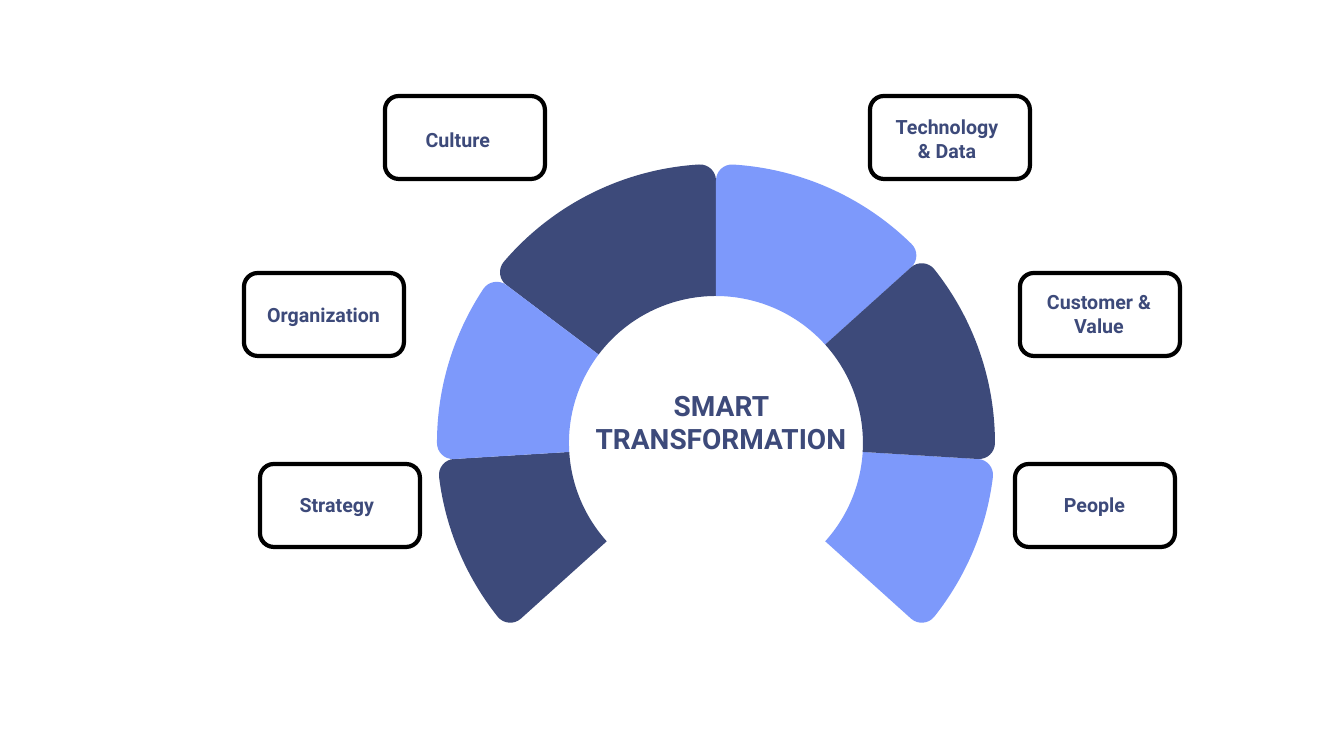
from dataclasses import dataclass
from math import asin, cos, degrees, radians, sin, tan

from lxml import etree
from pptx import Presentation
from pptx import util as u
from pptx.dml.color import RGBColor
from pptx.enum import shapes, text
from pptx.oxml.ns import qn

PX = 914400 / 100.8  # EMU in one px
COLORS = {"navy": "3D4A7A", "sky": "7D99FB", "black": "000000"}
FONT = "Roboto"

RING_X, RING_Y = 716, 443
OUTER, INNER, CORNER = 279, 147, 16
FRAME_W, FRAME_H = 160, 83

Point = tuple[float, float]


@dataclass
class Segment:
    start: float  # degrees clockwise from the top
    end: float
    color: str


@dataclass
class Arc:
    x: float
    y: float
    radius: float
    start: float
    end: float

    def at(self, angle: float) -> Point:
        a = radians(angle)
        return self.x + self.radius * sin(a), self.y - self.radius * cos(a)

    def curve(self) -> list[Point]:
        """Two handles and the end point of a cubic curve along the arc."""
        reach = self.radius * 4 / 3 * tan(radians(self.end - self.start) / 4)
        (x1, y1), (x2, y2) = self.at(self.start), self.at(self.end)
        a, b = radians(self.start), radians(self.end)
        return [(x1 + reach * cos(a), y1 + reach * sin(a)),
                (x2 - reach * cos(b), y2 - reach * sin(b)), (x2, y2)]


@dataclass
class Label:
    caption: str
    frame_left: int
    frame_top: int
    left: int
    top: int
    width: int
    height: int
    align: text.PP_ALIGN


CENTER, RIGHT = text.PP_ALIGN.CENTER, text.PP_ALIGN.RIGHT

SEGMENTS = [
    Segment(93.5, 132, "sky"),
    Segment(228, 266.5, "navy"),
    Segment(307, 360, "navy"),
    Segment(0, 48, "sky"),
    Segment(266.5, 307, "sky"),
    Segment(48, 93.5, "navy"),
]

LABELS = [
    Label("Culture", 385, 96, 253, 123, 247, 34, RIGHT),
    Label("Organization", 244, 273, 256, 298, 134, 34, RIGHT),
    Label("Strategy", 260, 464, 270, 488, 114, 34, RIGHT),
    Label("Technology & Data", 870, 96, 882, 110, 130, 57, CENTER),
    Label("Customer & Value", 1020, 273, 1015, 285, 168, 57, CENTER),
    Label("People", 1015, 464, 1039, 488, 96, 34, RIGHT),
]


def px(length: float) -> u.Emu:
    return u.Emu(round(length * PX))


def rgb(name: str) -> RGBColor:
    return RGBColor.from_string(COLORS[name])


def segment_arcs(segment: Segment) -> list[Arc]:
    """Rounded corner, outer edge, rounded corner and inner edge."""
    reach = OUTER - CORNER
    inset = degrees(asin(CORNER / reach))
    first, last = segment.start + inset, segment.end - inset
    hub = Arc(RING_X, RING_Y, reach, first, last)
    return [
        Arc(*hub.at(first), CORNER, segment.start - 90, first),
        Arc(RING_X, RING_Y, OUTER, first, last),
        Arc(*hub.at(last), CORNER, last, segment.end + 90),
        Arc(RING_X, RING_Y, INNER, segment.end, segment.start),
    ]


def draw_segment(slide, segment: Segment) -> None:
    arcs = segment_arcs(segment)
    inner = arcs[-1]
    anchors = [arcs[0].at(arcs[0].start), *(arc.at(arc.end) for arc in arcs[:3]),
               inner.at(inner.start), inner.at(inner.end)]
    points = [(px(x), px(y)) for x, y in anchors]
    builder = slide.shapes.build_freeform(*points[0], scale=1.0)
    builder.add_line_segments(points[1:], close=True)
    sector = builder.convert_to_shape()

    # Bend every side except the straight one before the inner edge
    sides = list(sector._element.iter(qn("a:lnTo")))
    for side, arc in zip(sides[:3] + sides[4:5], arcs):
        bend = etree.Element(qn("a:cubicBezTo"))
        for x, y in arc.curve():
            etree.SubElement(bend, qn("a:pt"), x=str(px(x) - sector.left),
                             y=str(px(y) - sector.top))
        side.getparent().replace(side, bend)

    sector.shadow.inherit = False
    sector.fill.solid()
    sector.fill.fore_color.rgb = rgb(segment.color)
    sector.line.fill.background()


def write(shape, caption: str, size: int, align: text.PP_ALIGN) -> None:
    frame = shape.text_frame
    frame.text = caption
    frame.word_wrap = True
    frame.auto_size = text.MSO_AUTO_SIZE.NONE
    frame.vertical_anchor = text.MSO_ANCHOR.TOP
    paragraph = frame.paragraphs[0]
    paragraph.alignment = align
    font = paragraph.runs[0].font
    font.name, font.size, font.bold = FONT, u.Pt(size), True
    font.color.rgb = rgb("navy")


def draw_caption(slide, label: Label) -> None:
    caption = slide.shapes.add_textbox(
        px(label.left), px(label.top), px(label.width), px(label.height))
    write(caption, label.caption, 14, label.align)


def draw_frame(slide, label: Label) -> None:
    frame = slide.shapes.add_shape(
        shapes.MSO_SHAPE.ROUNDED_RECTANGLE,
        px(label.frame_left), px(label.frame_top), px(FRAME_W), px(FRAME_H))
    frame.shadow.inherit = False
    frame.fill.background()
    frame.line.color.rgb = rgb("black")
    frame.line.width = u.Pt(3)


def main() -> None:
    deck = Presentation()
    deck.slide_width, deck.slide_height = px(1344), px(756)
    slide = deck.slides.add_slide(deck.slide_layouts[5])

    # Ring of segments
    for segment in SEGMENTS:
        draw_segment(slide, segment)

    # Captions around the ring, then their frames
    for label in LABELS:
        draw_caption(slide, label)
    for label in LABELS:
        draw_frame(slide, label)

    # Title in the middle of the ring
    title = slide.shapes.title
    title.left, title.top, title.width, title.height = px(579), px(383), px(284), px(78)
    write(title, "SMART TRANSFORMATION", 20, CENTER)

    deck.save("out.pptx")


if __name__ == "__main__":
    main()
